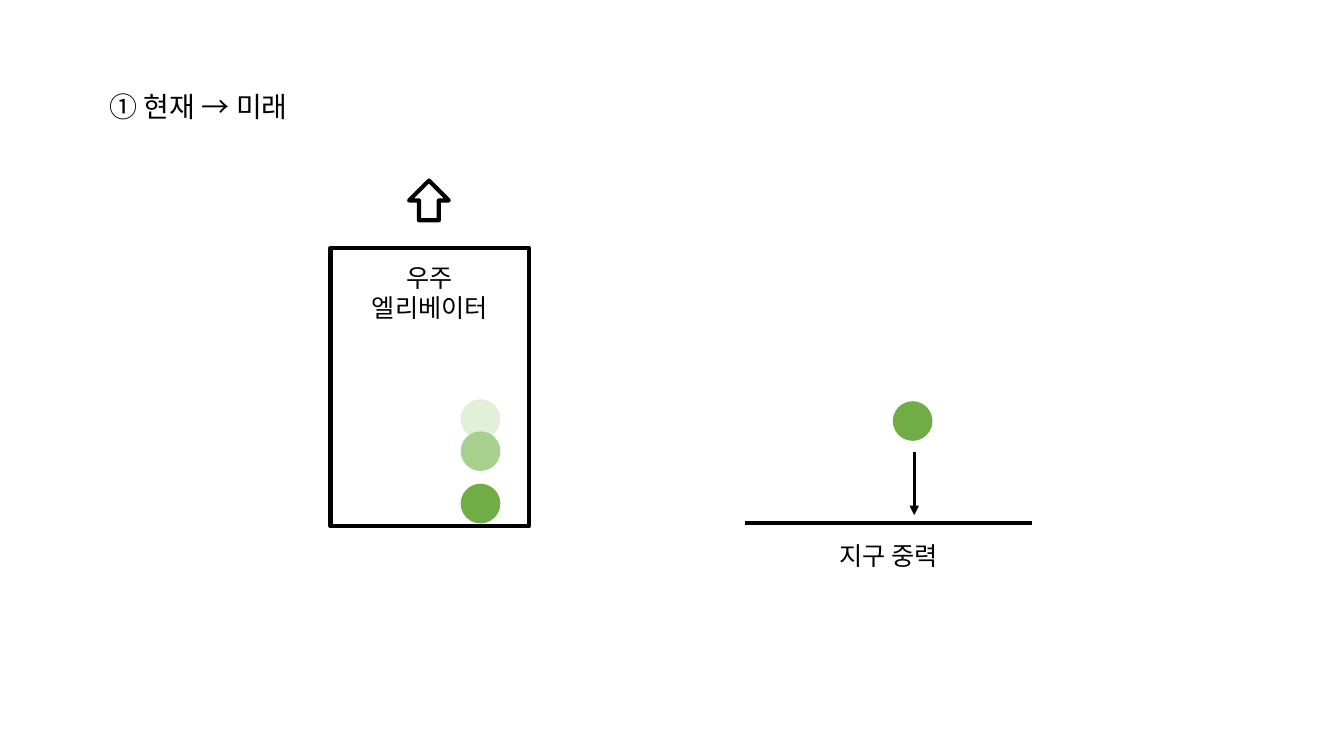
from dataclasses import dataclass

from lxml.etree import SubElement
from pptx import Presentation
from pptx.dml.color import RGBColor
from pptx.enum.shapes import MSO_CONNECTOR, MSO_SHAPE
from pptx.enum.text import MSO_ANCHOR, MSO_AUTO_SIZE, PP_ALIGN
from pptx.oxml.ns import qn
from pptx.util import Cm, Pt


@dataclass(frozen=True)
class Theme:
    font: str = "Noto Sans CJK KR"
    ink: RGBColor = RGBColor(0x00, 0x00, 0x00)
    paper: RGBColor = RGBColor(0xFF, 0xFF, 0xFF)
    pale: RGBColor = RGBColor(0xE2, 0xF0, 0xD9)
    mid: RGBColor = RGBColor(0xA9, 0xD1, 0x8E)
    green: RGBColor = RGBColor(0x70, 0xAD, 0x47)
    head: Pt = Pt(20)
    body: Pt = Pt(18)
    thick: Pt = Pt(3)
    thin: Pt = Pt(2.25)


THEME = Theme()
BALL = 1.0


def place(shape, left, top, width, height):
    shape.left, shape.top = Cm(left), Cm(top)
    shape.width, shape.height = Cm(width), Cm(height)


def write(shape, text, size, align):
    frame = shape.text_frame
    frame.text = text
    frame.word_wrap = True
    frame.auto_size = MSO_AUTO_SIZE.SHAPE_TO_FIT_TEXT
    frame.vertical_anchor = MSO_ANCHOR.TOP
    for para in frame.paragraphs:
        para.alignment = align
        for run in para.runs:
            run.font.name = THEME.font
            run.font.size = size
            run.font.color.rgb = THEME.ink
            east = SubElement(run.font._element, qn("a:ea"))
            east.set("typeface", THEME.font)


def add_title(slide, text, *box):
    title = slide.shapes.title
    place(title, *box)
    write(title, text, THEME.head, PP_ALIGN.LEFT)


def add_label(slide, text, *box):
    label = slide.shapes.add_textbox(*map(Cm, box))
    write(label, text, THEME.body, PP_ALIGN.CENTER)


def add_form(slide, kind, box, fill=None, line=None):
    form = slide.shapes.add_shape(kind, *map(Cm, box))
    form.shadow.inherit = False
    if fill is None:
        form.fill.background()
    else:
        form.fill.solid()
        form.fill.fore_color.rgb = fill
    if line is None:
        form.line.fill.background()
    else:
        form.line.color.rgb = line
        form.line.width = THEME.thick
    return form


def add_ball(slide, left, top, fill):
    add_form(slide, MSO_SHAPE.OVAL, (left, top, BALL, BALL), fill)


def add_line(slide, ends, width, arrow=False):
    line = slide.shapes.add_connector(MSO_CONNECTOR.STRAIGHT, *map(Cm, ends))
    line.line.color.rgb = THEME.ink
    line.line.width = width
    if arrow:
        SubElement(line.line._get_or_add_ln(), qn("a:tailEnd")).set("type", "triangle")
    SubElement(line._element.spPr, qn("a:effectLst"))


def draw_lift(slide):
    add_form(slide, MSO_SHAPE.RECTANGLE, (8.33, 6.25, 5, 7.01), line=THEME.ink)
    arrow = add_form(slide, MSO_SHAPE.RIGHT_ARROW, (10.31, 4.55, BALL, BALL),
                     THEME.paper, THEME.ink)
    arrow.rotation = 270
    add_label(slide, "우주\n엘리베이터", 8.89, 6.48, 3.89, 1.8)
    falls = ((10.06, THEME.pale), (10.87, THEME.mid), (12.19, THEME.green))
    for top, fill in falls:
        add_ball(slide, 11.61, top, fill)


def draw_earth(slide):
    add_ball(slide, 22.5, 10.11, THEME.green)
    add_line(slide, (18.77, 13.18, 26.01, 13.18), THEME.thick)
    add_line(slide, (23.04, 11.38, 23.04, 12.98), THEME.thin, arrow=True)
    add_label(slide, "지구 중력", 20.45, 13.49, 3.89, 1.02)


def main():
    deck = Presentation()
    deck.slide_width, deck.slide_height = Cm(33.87), Cm(19.05)
    slide = deck.slides.add_slide(deck.slide_layouts[5])
    add_title(slide, "① 현재 → 미래", 2.51, 2.13, 6.96, 1.12)
    draw_lift(slide)
    draw_earth(slide)
    deck.save("out.pptx")


if __name__ == "__main__":
    main()
